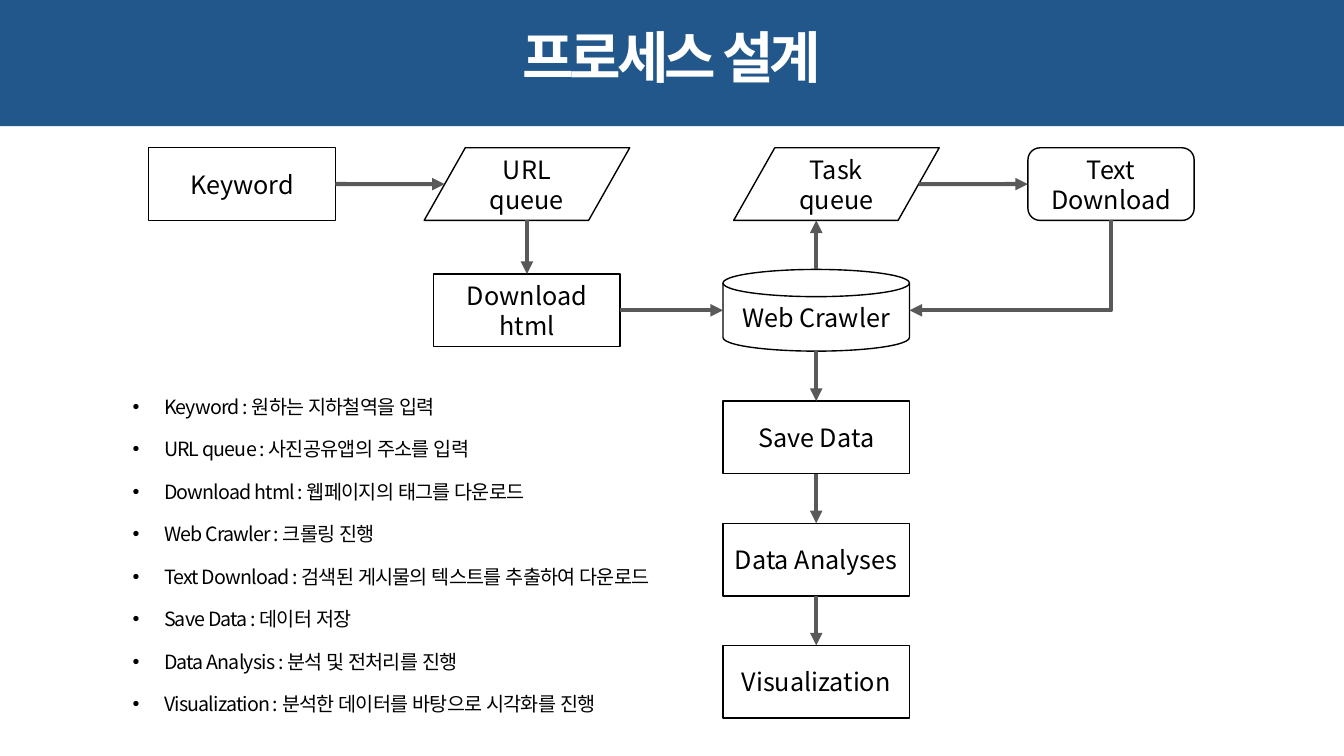
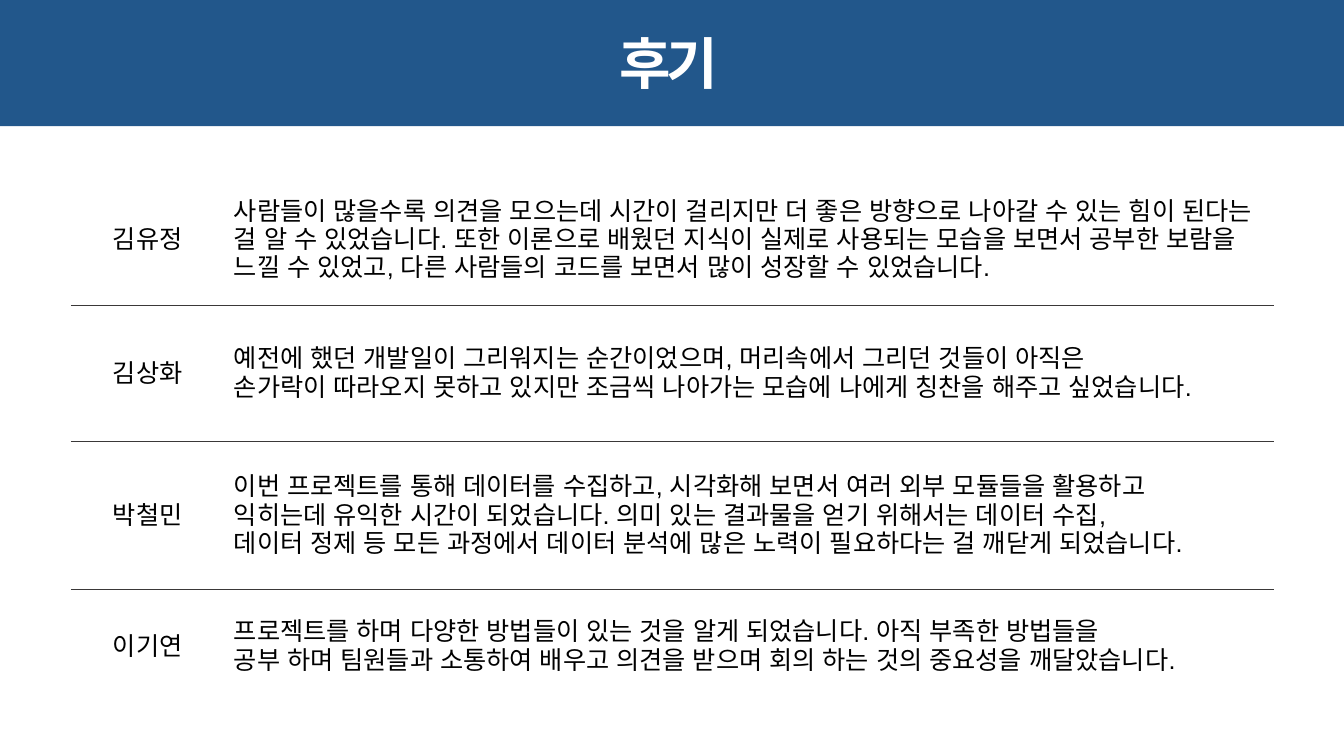
"""Build a process-design flowchart slide and a table of team reviews."""
from dataclasses import dataclass

from lxml.etree import SubElement
from pptx import Presentation
from pptx.dml.color import RGBColor as Color
from pptx.enum.shapes import MSO_CONNECTOR as Link, MSO_SHAPE as Preset
from pptx.enum.text import MSO_ANCHOR as Anchor, MSO_AUTO_SIZE as AutoSize, PP_ALIGN as Align
from pptx.oxml.ns import qn
from pptx.util import Cm, Pt


@dataclass(frozen=True)
class Theme:
    band: Color = Color.from_string("22578B")
    white: Color = Color.from_string("FFFFFF")
    black: Color = Color.from_string("000000")
    arrow: Color = Color.from_string("595959")
    rule: str = "3A3838"
    sans: str = "Noto Sans CJK KR"
    latin: str = "Arial"
    title_size: Pt = Pt(40)
    text_size: Pt = Pt(18)
    list_size: Pt = Pt(14)


THEME = Theme()
WIDTH, HEIGHT, BAND_HEIGHT = 33.87, 19.05, 3.18

PROCESS_TITLE = {"text": "프로세스 설계", "font": THEME.latin, "left": 0, "top": 0.43}
REVIEW_TITLE = {"text": "후기", "font": THEME.sans, "left": -0.08, "top": 0.59}

KINDS = {
    "process": (Preset.FLOWCHART_PROCESS, 4.7, 1.83),
    "queue": (Preset.FLOWCHART_DATA, 5.18, 1.83),
    "rounded": (Preset.FLOWCHART_ALTERNATE_PROCESS, 4.19, 1.83),
    "disk": (Preset.FLOWCHART_MAGNETIC_DISK, 4.7, 2.06),
}
TOP_ROW, CRAWL_ROW, SAVE_ROW, ROW_STEP = 4.64, 7.82, 11.02, 3.08
URL_COLUMN, CRAWL_COLUMN = 13.28, 20.57
NODES = {
    "keyword": (["Keyword"], "process", 6.1, TOP_ROW),
    "url": (["URL", "queue"], "queue", URL_COLUMN, TOP_ROW),
    "html": (["Download", "html"], "process", URL_COLUMN, CRAWL_ROW),
    "task": (["Task", "queue"], "queue", 21.08, TOP_ROW),
    "text": (["Text", "Download"], "rounded", 28, TOP_ROW),
    "crawler": (["Web Crawler"], "disk", CRAWL_COLUMN, CRAWL_ROW),
    "save": (["Save Data"], "process", CRAWL_COLUMN, SAVE_ROW),
    "analyses": (["Data Analyses"], "process", CRAWL_COLUMN, SAVE_ROW + ROW_STEP),
    "visualization": (["Visualization"], "process", CRAWL_COLUMN, SAVE_ROW + 2 * ROW_STEP),
}
UP, LEFT, DOWN, RIGHT = range(4)
ARROWS = [
    ("keyword", RIGHT, "url"),
    ("url", DOWN, "html"),
    ("html", RIGHT, "crawler"),
    ("crawler", UP, "task"),
    ("task", RIGHT, "text"),
    ("crawler", DOWN, "save"),
    ("save", DOWN, "analyses"),
    ("analyses", DOWN, "visualization"),
]
STEPS = [
    "Keyword : 원하는 지하철역을 입력",
    "URL queue : 사진공유앱의 주소를 입력",
    "Download html : 웹페이지의 태그를 다운로드",
    "Web Crawler : 크롤링 진행",
    "Text Download : 검색된 게시물의 텍스트를 추출하여 다운로드",
    "Save Data : 데이터 저장",
    "Data Analysis : 분석 및 전처리를 진행",
    "Visualization : 분석한 데이터를 바탕으로 시각화를 진행",
]
REVIEWS = [
    ("김유정", 3.3, [
        "사람들이 많을수록 의견을 모으는데 시간이 걸리지만 더 좋은 방향으로 나아갈 수 있는 힘이 된다는 "
        "걸 알 수 있었습니다. 또한 이론으로 배웠던 지식이 실제로 사용되는 모습을 보면서 공부한 보람을 "
        "느낄 수 있었고, 다른 사람들의 코드를 보면서 많이 성장할 수 있었습니다.",
    ]),
    ("김상화", 3.43, [
        "예전에 했던 개발일이 그리워지는 순간이었으며, 머리속에서 그리던 것들이 아직은",
        "손가락이 따라오지 못하고 있지만 조금씩 나아가는 모습에 나에게 칭찬을 해주고 싶었습니다.",
    ]),
    ("박철민", 3.73, [
        "이번 프로젝트를 통해 데이터를 수집하고, 시각화해 보면서 여러 외부 모듈들을 활용하고",
        "익히는데 유익한 시간이 되었습니다. 의미 있는 결과물을 얻기 위해서는 데이터 수집,",
        "데이터 정제 등 모든 과정에서 데이터 분석에 많은 노력이 필요하다는 걸 깨닫게 되었습니다.",
    ]),
    ("이기연", 2.87, [
        "프로젝트를 하며 다양한 방법들이 있는 것을 알게 되었습니다. 아직 부족한 방법들을",
        "공부 하며 팀원들과 소통하여 배우고 의견을 받으며 회의 하는 것의 중요성을 깨달았습니다.",
    ]),
]


def apply(target, values):
    for name, value in values.items():
        setattr(target, name, value)


def place(shape, left, top, width, height):
    apply(shape, {"left": Cm(left), "top": Cm(top), "width": Cm(width), "height": Cm(height)})


def write(frame, lines, font, layout, face=THEME.sans, tracking=0):
    for number, line in enumerate(lines):
        paragraph = frame.paragraphs[0] if number == 0 else frame.add_paragraph()
        apply(paragraph, layout)
        run = paragraph.add_run()
        run.text = line
        apply(run.font, {"name": face, "size": font["size"], "bold": font.get("bold", False)})
        run.font.color.rgb = font["color"]
        properties = run.font._element
        SubElement(properties, qn("a:ea"), typeface=THEME.latin)
        if tracking:
            properties.set("spc", str(tracking))


def add_header(slide, title):
    band = slide.shapes.add_shape(Preset.RECTANGLE, 0, 0, Cm(WIDTH), Cm(BAND_HEIGHT))
    band.shadow.inherit = False
    band.fill.solid()
    band.fill.fore_color.rgb = THEME.band
    band.line.fill.background()
    slide.shapes._spTree.insert(2, band._element)
    heading = slide.shapes.title
    place(heading, title["left"], title["top"], WIDTH, 1.96)
    apply(heading.text_frame, {"vertical_anchor": Anchor.MIDDLE, "auto_size": AutoSize.NONE})
    font = {"size": THEME.title_size, "bold": True, "color": THEME.white}
    write(heading.text_frame, [title["text"]], font, {"alignment": Align.CENTER}, title["font"], -300)


def add_node(slide, lines, kind, x, y):
    preset, width, height = KINDS[kind]
    node = slide.shapes.add_shape(
        preset, Cm(x - width / 2), Cm(y - height / 2), Cm(width), Cm(height))
    node.shadow.inherit = False
    node.fill.solid()
    node.fill.fore_color.rgb = THEME.white
    node.line.color.rgb = THEME.black
    node.line.width = Pt(1)
    margins = dict.fromkeys(("margin_left", "margin_right", "margin_top", "margin_bottom"), 0)
    apply(node.text_frame, {"vertical_anchor": Anchor.MIDDLE, "word_wrap": True, **margins})
    write(node.text_frame, lines, {"size": THEME.text_size, "color": THEME.black},
          {"alignment": Align.CENTER})
    return node


def side_point(name, side):
    _, kind, x, y = NODES[name]
    _, width, height = KINDS[kind]
    reach = 0.4 if kind == "queue" else 0.5
    across, down = {UP: (0, -0.5), LEFT: (-reach, 0), DOWN: (0, 0.5), RIGHT: (reach, 0)}[side]
    return x + across * width, y + down * height


def add_arrow(slide, kind, start, end):
    arrow = slide.shapes.add_connector(kind, *(Cm(value) for value in (*start, *end)))
    arrow.line.color.rgb = THEME.arrow
    arrow.line.width = Pt(3)
    SubElement(arrow.line._get_or_add_ln(), qn("a:tailEnd"), type="triangle")
    SubElement(arrow._element.spPr, qn("a:effectLst"))
    return arrow


def add_straight_arrow(slide, shapes, source, side, target):
    opposite = (side + 2) % 4
    start, end = side_point(source, side), side_point(target, opposite)
    end = (start[0], end[1]) if side in (UP, DOWN) else (end[0], start[1])
    arrow = add_arrow(slide, Link.STRAIGHT, start, end)
    joins = ((arrow.begin_connect, source, side), (arrow.end_connect, target, opposite))
    for connect, name, site in joins:
        if NODES[name][1] in ("process", "rounded"):
            connect(shapes[name], site)


def add_return_arrow(slide, source, target):
    start, end = side_point(source, DOWN), side_point(target, RIGHT)
    middle_x, middle_y = (start[0] + end[0]) / 2, (start[1] + end[1]) / 2
    half_width, half_height = (end[1] - start[1]) / 2, (start[0] - end[0]) / 2
    arrow = add_arrow(slide, Link.ELBOW,
                      (middle_x - half_width, middle_y - half_height),
                      (middle_x + half_width, middle_y + half_height))
    arrow._element.spPr.find(qn("a:prstGeom")).set("prst", "bentConnector2")
    arrow._element.spPr.find(qn("a:xfrm")).set("rot", "5400000")


def add_steps(slide):
    body = slide.placeholders[1]
    place(body, 2.79, 9.55, 15.19, 8.9)
    apply(body.text_frame, {"vertical_anchor": Anchor.TOP, "auto_size": AutoSize.NONE})
    layout = {"alignment": Align.JUSTIFY, "line_spacing": 1.45,
              "space_before": Pt(3), "space_after": Pt(3)}
    write(body.text_frame, STEPS, {"size": THEME.list_size, "color": THEME.black},
          layout, tracking=-60)
    for paragraph in body.text_frame.paragraphs:
        properties = paragraph._p.get_or_add_pPr()
        properties.set("marL", str(Cm(1.09)))
        properties.set("indent", str(-Cm(0.79)))
        SubElement(properties, qn("a:buFont"), typeface=THEME.latin)
        SubElement(properties, qn("a:buChar"), char="•")


def add_rule(cell, edge):
    line = SubElement(cell._tc.get_or_add_tcPr(), qn(f"a:{edge}"), w=str(Pt(1)))
    SubElement(SubElement(line, qn("a:solidFill")), qn("a:srgbClr"), val=THEME.rule)


def add_reviews(slide):
    widths = (3.84, 26.44)
    total = sum(height for _, height, _ in REVIEWS)
    table = slide.shapes.add_table(
        len(REVIEWS), len(widths), Cm(1.8), Cm(4.39), Cm(sum(widths)), Cm(total)).table
    apply(table, {"first_row": False, "horz_banding": False})
    for column, width in zip(table.columns, widths):
        column.width = Cm(width)
    font = {"size": THEME.text_size, "color": THEME.black}
    for index, (name, height, review) in enumerate(REVIEWS):
        table.rows[index].height = Cm(height)
        contents = (([name], Align.CENTER), (review, Align.LEFT))
        for cell, (lines, alignment) in zip(table.rows[index].cells, contents):
            cell.vertical_anchor = Anchor.MIDDLE
            if index > 0:
                add_rule(cell, "lnT")
            if index < len(REVIEWS) - 1:
                add_rule(cell, "lnB")
            cell.fill.background()
            write(cell.text_frame, lines, font, {"alignment": alignment}, THEME.latin)


def main():
    presentation = Presentation()
    apply(presentation, {"slide_width": Cm(WIDTH), "slide_height": Cm(HEIGHT)})
    layouts = presentation.slide_layouts

    process = presentation.slides.add_slide(layouts.get_by_name("Title and Content"))
    add_header(process, PROCESS_TITLE)
    shapes = {name: add_node(process, *node) for name, node in NODES.items()}
    for source, side, target in ARROWS:
        add_straight_arrow(process, shapes, source, side, target)
    add_return_arrow(process, "text", "crawler")
    add_steps(process)

    reviews = presentation.slides.add_slide(layouts.get_by_name("Title Only"))
    add_header(reviews, REVIEW_TITLE)
    add_reviews(reviews)
    presentation.save("out.pptx")


if __name__ == "__main__":
    main()
